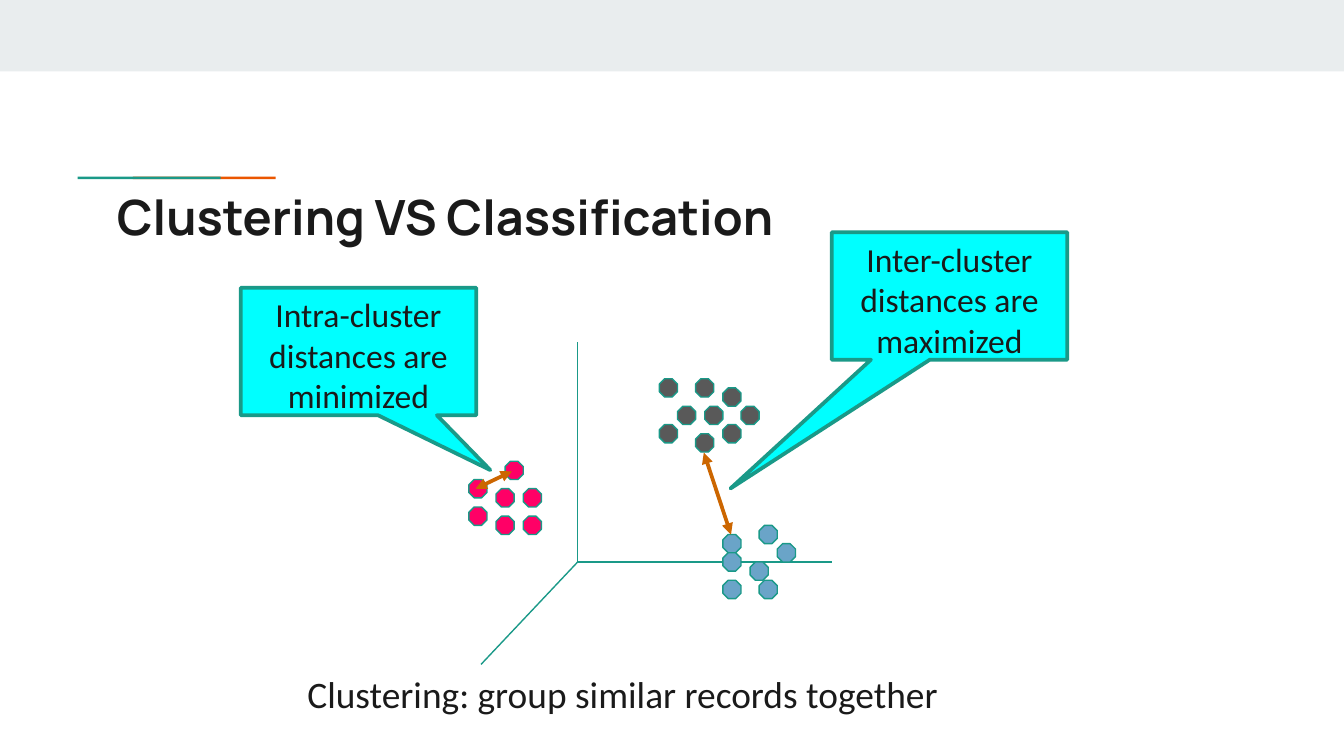
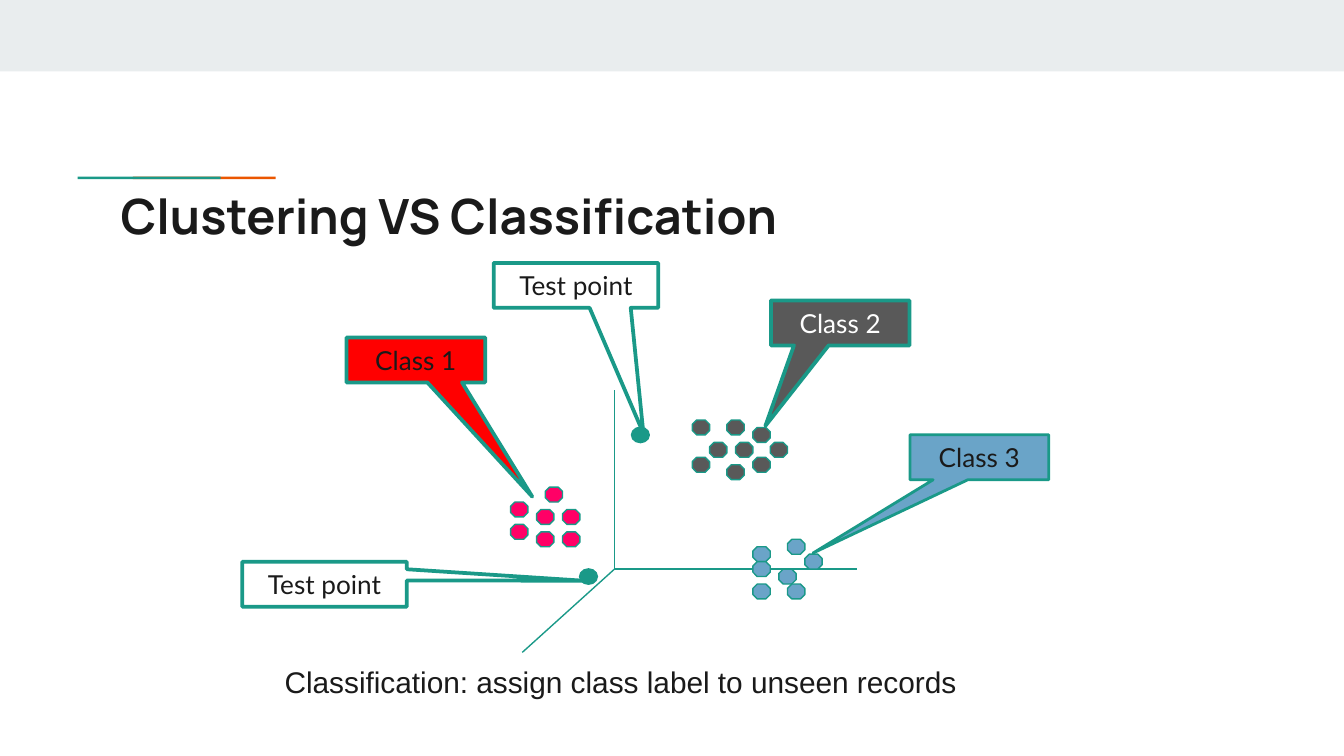
from dataclasses import dataclass

from lxml.etree import SubElement
from pptx import Presentation
from pptx.dml.color import RGBColor
from pptx.enum.shapes import MSO_CONNECTOR, MSO_SHAPE
from pptx.enum.text import MSO_ANCHOR, PP_ALIGN
from pptx.oxml.ns import qn
from pptx.util import Cm, Pt

INK, WHITE = "1A1A1A", "FFFFFF"
BAND, TEAL, ORANGE = "E9EDEE", "1A9988", "EB5600"
CYAN, RED, BROWN = "00FFFF", "FF0000", "CC6600"
GRAY, PINK, BLUE = "595959", "FF0066", "6AA4C8"
TITLE = "Clustering VS Classification"
COLUMNS, ROWS = 34, 22
CLUSTERS = {
    GRAY: [(23, 3), (26, 3), (25, 0), (25, 6), (30, 3), (28, 1), (21, 0), (28, 5), (21, 5)],
    PINK: [(0, 11), (3, 12), (3, 15), (6, 12), (4, 9), (6, 15), (0, 14)],
    BLUE: [(28, 17), (34, 18), (31, 20), (28, 22), (32, 22), (28, 19), (32, 16)],
}
AXIS_ORIGIN = (12, 20)
AXIS_ENDS = [(12, -4), (40, 20), (1.35, 31.17)]


@dataclass
class Plot:
    """Grid of scatter positions, in centimetres."""
    left: float
    top: float
    width: float
    height: float

    def place(self, column, row):
        """Return the position of a grid point."""
        return (self.left + column * self.width / COLUMNS,
                self.top + row * self.height / ROWS)

    def dot_box(self, column, row):
        """Return the box of a dot two grid steps wide and high."""
        return (*self.place(column, row), 2 * self.width / COLUMNS, 2 * self.height / ROWS)


def rgb(code):
    """Turn a hex string into a colour."""
    return RGBColor.from_string(code)


def add_filled(slide, kind, box, fill, line=None, weight=0.75):
    """Add a preset shape with optional fill and outline."""
    shape = slide.shapes.add_shape(kind, *map(Cm, box))
    shape.shadow.inherit = False
    if fill:
        shape.fill.solid()
        shape.fill.fore_color.rgb = rgb(fill)
    else:
        shape.fill.background()
    if line:
        shape.line.color.rgb = rgb(line)
        shape.line.width = Pt(weight)
    else:
        shape.line.fill.background()
    return shape


def write(frame, text, font, size, color=INK, bold=False, align=PP_ALIGN.LEFT):
    """Write one styled run into a wrapped, top-anchored frame."""
    frame.word_wrap = True
    frame.vertical_anchor = MSO_ANCHOR.TOP
    paragraph = frame.paragraphs[0]
    paragraph.alignment = align
    run = paragraph.add_run()
    run.text = text
    run.font.name, run.font.size, run.font.bold = font, Pt(size), bold
    run.font.color.rgb = rgb(color)


def add_text(slide, box, text, font, size, bold=False):
    """Add a text box and return its frame."""
    frame = slide.shapes.add_textbox(*map(Cm, box)).text_frame
    write(frame, text, font, size, bold=bold)
    return frame


def add_line(slide, start, end, color=TEAL, weight=0.75, arrows=False):
    """Add a straight line, with arrowheads at both ends if asked."""
    line = slide.shapes.add_connector(MSO_CONNECTOR.STRAIGHT, *map(Cm, (*start, *end)))
    line.line.color.rgb = rgb(color)
    line.line.width = Pt(weight)
    properties = line._element.spPr
    if arrows:
        for tag in ("a:headEnd", "a:tailEnd"):
            SubElement(properties.find(qn("a:ln")), qn(tag), type="triangle")
    SubElement(properties, qn("a:effectLst"))


def add_callout(slide, box, pointer, text, font, size, fill=None, color=INK, weight=2):
    """Add a rectangular callout whose pointer is relative to its size."""
    callout = add_filled(slide, MSO_SHAPE.RECTANGULAR_CALLOUT, box, fill, TEAL, weight)
    callout.adjustments[0], callout.adjustments[1] = pointer
    write(callout.text_frame, text, font, size, color, align=PP_ALIGN.CENTER)


def add_scatter(slide, plot):
    """Draw the three axes and the clusters of dots."""
    for end in AXIS_ENDS:
        add_line(slide, plot.place(*AXIS_ORIGIN), plot.place(*end))
    for color, dots in CLUSTERS.items():
        for dot in dots:
            add_filled(slide, MSO_SHAPE.OCTAGON, plot.dot_box(*dot), color, TEAL)


def add_base(deck, title_left, title_top):
    """Add a slide with the band, the accent and the title."""
    slide = deck.slides.add_slide(deck.slide_layouts[6])
    for box, color in (((0, 0, 25.4, 1.35), BAND),
                       ((2.51, 3.34, 2.7, 0.05), ORANGE),
                       ((1.47, 3.34, 2.7, 0.05), TEAL)):
        add_filled(slide, MSO_SHAPE.RECTANGLE, box, color)
    frame = add_text(slide, (title_left, title_top, 21.36, 1.5), TITLE, "Manrope", 26, True)
    frame.margin_top = frame.margin_bottom = Cm(0.25)
    return slide


def add_clustering(deck):
    """Build the slide on distances within and between clusters."""
    slide = add_base(deck, 1.96, 3.28)
    plot = Plot(8.86, 7.16, 5.83, 3.81)
    add_scatter(slide, plot)
    for start, end in (((0.75, 12), (4.75, 10.1)), ((28.9, 17), (25.9, 8.05))):
        add_line(slide, plot.place(*start), plot.place(*end), BROWN, 2, True)
    for left, top, pointer, text in (
            (4.55, 5.44, (0.56, 0.93), "Intra-cluster distances are minimized"),
            (15.72, 4.39, (-0.93, 1.51), "Inter-cluster distances are maximized")):
        add_callout(slide, (left, top, 4.45, 2.41), pointer, text, "Calibri", 18, CYAN)
    add_text(slide, (5.56, 12.57, 17.2, 1.12),
             "Clustering: group similar records together", "Calibri", 20)


def add_classification(deck):
    """Build the slide on labelled classes and test points."""
    slide = add_base(deck, 2.03, 3.26)
    add_text(slide, (5.13, 12.42, 13.36, 0.94),
             "Classification: assign class label to unseen records", "Arial", 16)
    plot = Plot(9.65, 7.94, 5.56, 3.1)
    add_scatter(slide, plot)
    for left, top, pointer, text, fill, color, weight in (
            (6.55, 6.38, (0.84, 3.04), "Class 1", RED, INK, 2),
            (17.2, 8.22, (-1.2, 2.13), "Class 3", BLUE, INK, 1.5),
            (14.57, 5.68, (-0.54, 2.29), "Class 2", GRAY, WHITE, 2)):
        add_callout(slide, (left, top, 2.62, 0.85), pointer, text, "Lato", 14,
                    fill, color, weight)
    for test_point in ((8, 20), (14, 1)):
        add_filled(slide, MSO_SHAPE.OVAL, plot.dot_box(*test_point), TEAL, TEAL, 1)
    for left, top, pointer in ((9.33, 4.97, (0.41, 3.29)), (4.58, 10.62, (1.57, -0.08))):
        add_callout(slide, (left, top, 3.11, 0.85), pointer, "Test point", "Lato", 14)


def main():
    """Build and save the deck."""
    deck = Presentation()
    deck.slide_width, deck.slide_height = Cm(25.4), Cm(14.29)
    add_clustering(deck)
    add_classification(deck)
    deck.save("out.pptx")


if __name__ == "__main__":
    main()
